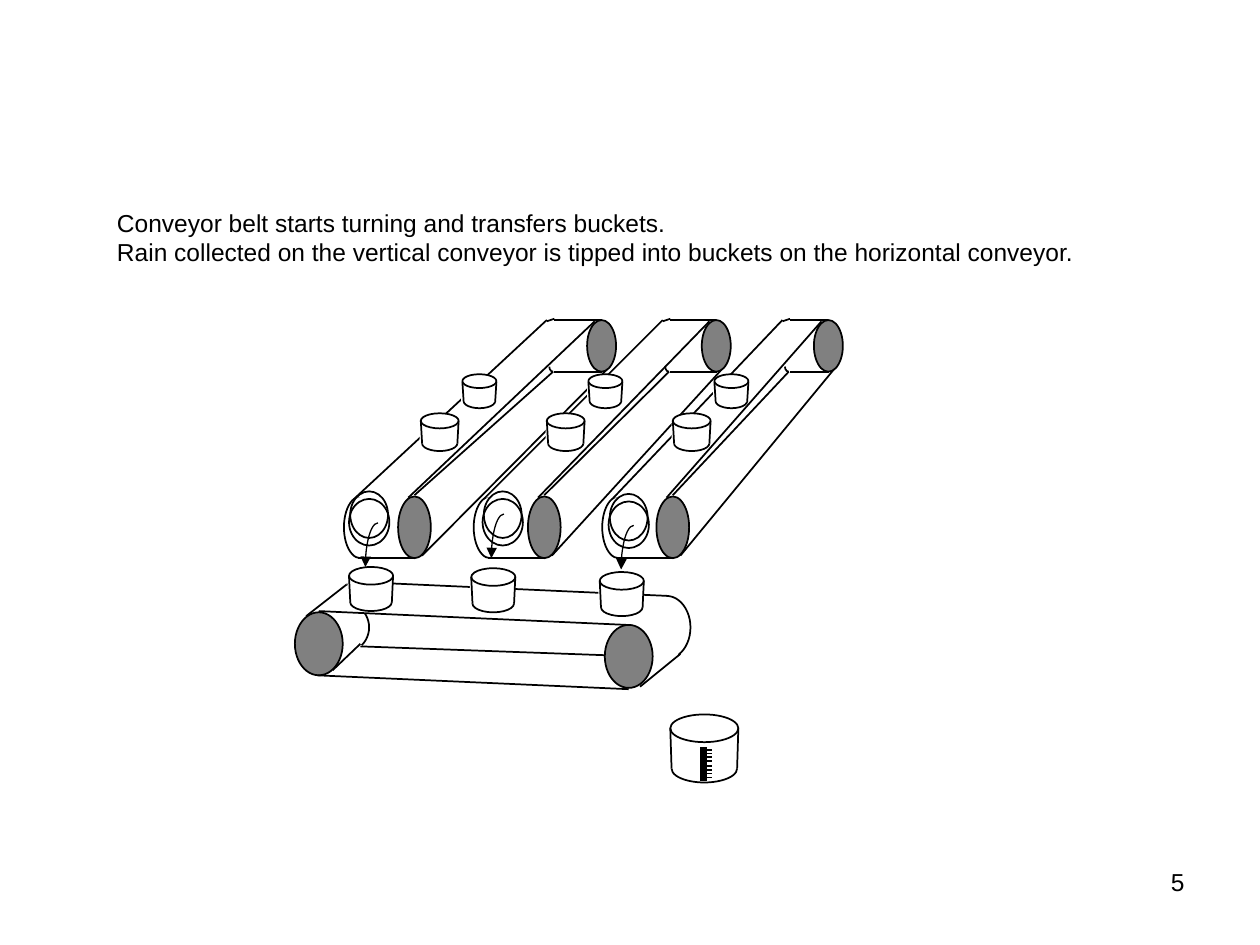
import dataclasses

import pptx
import pptx.dml.color
import pptx.enum.shapes
import pptx.enum.text
import pptx.oxml
import pptx.oxml.ns
import pptx.util

SCALE = 9144
PRESET = pptx.enum.shapes.MSO_SHAPE


@dataclasses.dataclass(frozen=True)
class Theme:
    ink: str = "000000"
    paper: str = "FFFFFF"
    roller: str = "808080"
    font: str = "Arial"
    text_size: int = 14
    outline: float = 1
    arrow: float = 0.75
    ruler: float = 4


THEME = Theme()


def px(length):
    return pptx.util.Emu(round(length) * SCALE)


def color(value):
    return pptx.dml.color.RGBColor.from_string(value)


def add_line(group, start, end, width=THEME.outline):
    line = group.shapes.add_connector(
        pptx.enum.shapes.MSO_CONNECTOR.STRAIGHT,
        *(px(length) for length in (*start, *end)))
    line.line.color.rgb = color(THEME.ink)
    line.line.width = pptx.util.Pt(width)
    line._element.spPr.append(pptx.oxml.parse_xml(
        f"<a:effectLst {pptx.oxml.ns.nsdecls('a')}/>"))


def add_shape(group, preset, box, fill=None, width=THEME.outline):
    shape = group.shapes.add_shape(preset, *(px(length) for length in box))
    shape.shadow.inherit = False
    if fill:
        shape.fill.solid()
        shape.fill.fore_color.rgb = color(fill)
    else:
        shape.fill.background()
    if width:
        shape.line.color.rgb = color(THEME.ink)
        shape.line.width = pptx.util.Pt(width)
    else:
        shape.line.fill.background()
    return shape


def add_ellipse(group, box, fill=None):
    add_shape(group, PRESET.OVAL, box, fill)


def add_mask(group, box):
    add_shape(group, PRESET.RECTANGLE, box, THEME.paper, 0)


def add_arc(group, center, radii, angles, width=THEME.outline):
    (x, y), (across, down) = center, radii
    arc = add_shape(group, PRESET.ARC,
                    (x - across, y - down, 2 * across, 2 * down), None, width)
    for index, angle in enumerate(angles):
        arc.adjustments[index] = angle * 0.6
    return arc


def add_text(page, box, lines, align):
    frame = page.shapes.add_textbox(*(px(length) for length in box)).text_frame
    frame.word_wrap = True
    frame.text = "\n".join(lines)
    for para in frame.paragraphs:
        para.alignment = align
        para.font.name = THEME.font
        para.font.size = pptx.util.Pt(THEME.text_size)
        para.font.color.rgb = color(THEME.ink)


def add_rising_conveyor(page, front, back, roller):
    group = page.shapes.add_group_shape()
    (x, y), (left, top) = front, back
    add_line(group, (x + 51, y + 1), (roller + 6, top + 1))
    add_ellipse(group, (x + 43, y, 26, 49), THEME.roller)
    add_ellipse(group, (x, y, 26, 49))
    add_mask(group, (x + 13, y - 4, 23, 60))
    add_line(group, (x + 55, y + 49), (x + 11, y + 49))
    add_mask(group, (x + 1, y - 6, 18, 7))
    add_line(group, (x + 8, y + 2), (left, top))
    add_line(group, (x + 62, y + 47), (roller + 16, top + 39))
    add_ellipse(group, (roller, top, 23, 41), THEME.roller)
    add_line(group, (roller + 11, top), (left + 6, top))
    add_line(group, (left, top + 1), (left + 6, top - 1))
    add_line(group, (roller + 12, top + 41), (left + 6, top + 41))
    add_arc(group, (left + 5, top + 37), (3, 4), (90, 180))
    add_line(group, (left + 5, top + 41), (x + 56, y - 1))


def add_level_conveyor(page, left, top):
    group = page.shapes.add_group_shape()

    def line(start, end):
        add_line(group, (left + start[0], top + start[1]),
                 (left + end[0], top + end[1]))

    add_ellipse(group, (left, top + 24, 38, 50), THEME.roller)
    line((9, 27), (41, 2))
    line((41, 2), (53, 0))
    add_ellipse(group, (left + 276, top + 11, 38, 50))
    add_mask(group, (left + 269, top + 4, 26, 69))
    add_ellipse(group, (left + 246, top + 34, 38, 50), THEME.roller)
    line((297, 11), (53, 0))
    add_mask(group, (left + 289, top + 52, 15, 24))
    line((274, 83), (306, 57))
    line((265, 85), (18, 74))
    line((52, 51), (246, 58))
    line((30, 70), (52, 49))
    add_arc(group, (left + 39, top + 36), (20, 20), (315, 45))
    add_mask(group, (left + 49, top + 18, 13, 7))
    line((264, 34), (19, 23))


def add_bucket(page, left, top, size):
    group = page.shapes.add_group_shape()
    rim = size * 0.4
    shoulder, base = top + size * 0.21, top + size * 0.8
    add_ellipse(group, (left + 1, top + size * 0.59, size - 2, rim))
    add_mask(group, (left - 1, shoulder, size + 1, size * 0.6))
    add_ellipse(group, (left, top, size, rim), THEME.paper)
    add_line(group, (left, shoulder), (left + 1, base))
    add_line(group, (left + size, shoulder), (left + size - 1, base))


def add_tipping_bucket(page, left, top):
    group = page.shapes.add_group_shape()
    add_ellipse(group, (left + 1, top, 30, 37))
    add_ellipse(group, (left, top + 6, 32, 37))


def add_ruler(page, left, top):
    group = page.shapes.add_group_shape()
    add_line(group, (left, top), (left, top + 27), THEME.ruler)
    for index in range(8):
        y = top + 2 + index * 22 / 7
        add_line(group, (left + 1, y), (left + 7, y))


def add_pour_arrow(page, x, y):
    arrow = add_arc(page, (x, y), (10, 35), (180, 270), THEME.arrow)
    arrow.line._get_or_add_ln().append(pptx.oxml.parse_xml(
        f"<a:headEnd {pptx.oxml.ns.nsdecls('a')} type='triangle'/>"))


def main():
    deck = pptx.Presentation()
    deck.slide_width, deck.slide_height = px(1000), px(750)
    page = deck.slides.add_slide(deck.slide_layouts[6])

    for x, left, roller in ((478, 621, 646), (376, 526, 557), (273, 434, 466)):
        add_rising_conveyor(page, (x, 394), (left, 254), roller)
    add_level_conveyor(page, 234, 462)
    for column in range(3):
        add_bucket(page, 334 + 100 * column, 328, 30)
        add_bucket(page, 367 + 100 * column, 297, 27)
    for left, top in ((277, 450), (374, 451), (476, 454)):
        add_bucket(page, left, top, 35)
    add_bucket(page, 532, 567, 54)
    add_ruler(page, 558, 593)
    for left, top in ((277, 390), (383, 390), (483, 392)):
        add_tipping_bucket(page, left, top)
    for x, y in ((300, 450), (400, 443), (503, 452)):
        add_pour_arrow(page, x, y)

    add_text(page, (83, 160, 821, 57), (
        "Conveyor belt starts turning and transfers buckets.",
        "Rain collected on the vertical conveyor is tipped into buckets "
        "on the horizontal conveyor."), pptx.enum.text.PP_ALIGN.LEFT)
    add_text(page, (717, 683, 233, 52), ("5",), pptx.enum.text.PP_ALIGN.RIGHT)
    deck.save("out.pptx")


if __name__ == "__main__":
    main()
